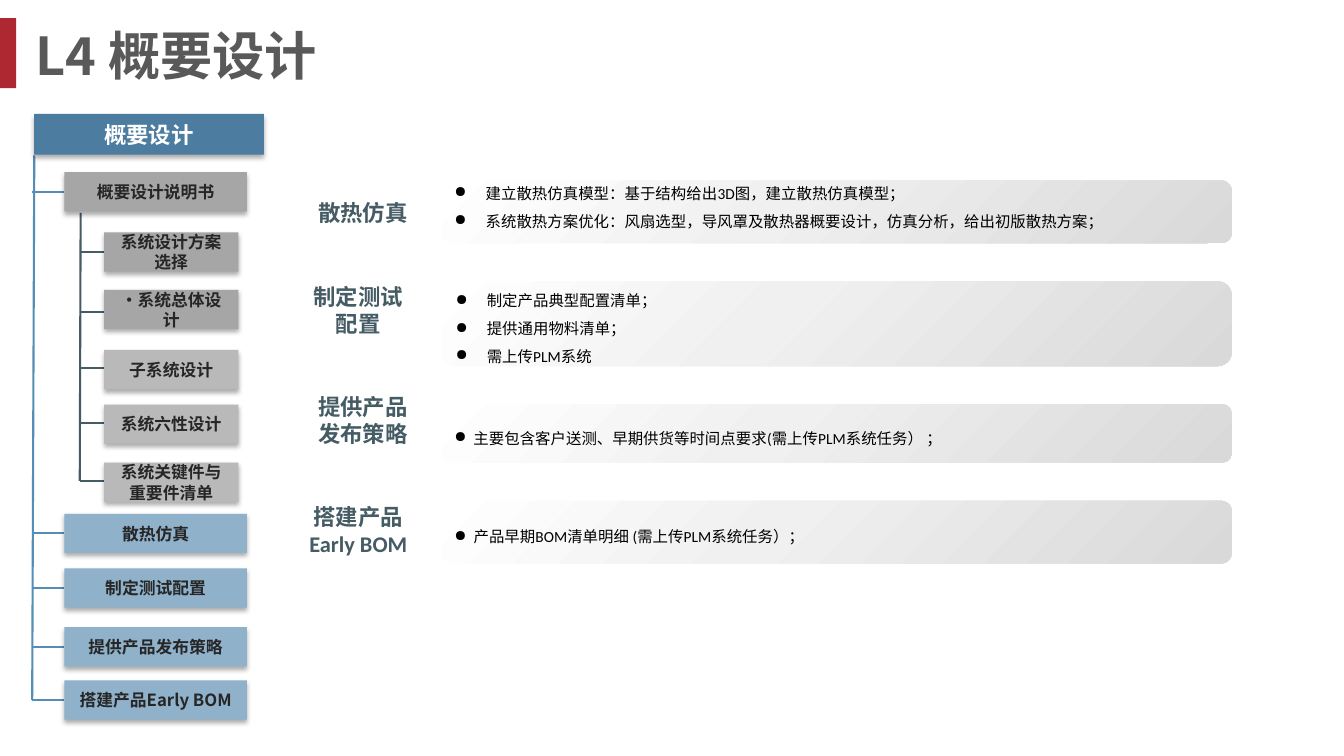
from copy import deepcopy

from lxml.etree import SubElement
from pptx import Presentation
from pptx.dml.color import RGBColor
from pptx.enum.shapes import MSO_CONNECTOR as Connector, MSO_SHAPE as Preset
from pptx.enum.text import MSO_ANCHOR as Anchor, MSO_AUTO_SIZE as AutoSize, PP_ALIGN as Align
from pptx.oxml.ns import qn
from pptx.util import Pt

CJK, LATIN = "Noto Sans CJK SC", "Calibri"
COLORS = {
    "red": "AD2830", "title": "595959", "header": "4C7CA0", "white": "FFFFFF",
    "blue": "90B1CA", "blue_line": "548DB5", "slate": "465C65", "ink": "262626",
    "dark_gray": "A6A6A6", "light_gray": "B9B9B9", "black": "000000",
    "fade_mid": "F0F0F0", "fade_end": "D9D9D9",
}
TITLE_FONT = {"size": Pt(37.3), "bold": True, "name": CJK}
HEADER_FONT = {"size": Pt(16), "bold": True, "name": CJK}
NODE_FONT = {"size": Pt(12), "bold": True, "name": CJK}
LABEL_FONT = {"size": Pt(16), "bold": True, "name": LATIN}
LIST_FONT = {"size": Pt(11), "bold": False, "name": LATIN}

# Tree stages: text, top, fill
STAGES = [
    ("概要设计说明书", 123, "dark_gray"),
    ("散热仿真", 367, "blue"),
    ("制定测试配置", 406, "blue"),
    ("提供产品发布策略", 448, "blue"),
    ("搭建产品Early BOM", 486, "blue"),
]
# Tree details: text, top, height of the branch line, fill
DETAILS = [
    ("系统设计方案选择", 166, 180, "dark_gray"),
    ("·系统总体设计", 207, 223, "dark_gray"),
    ("子系统设计", 250, 263, "light_gray"),
    ("系统六性设计", 289, 302, "light_gray"),
    ("系统关键件与重要件清单", 330.5, 343.5, "light_gray"),
]
# Label (text, top, width, height), panel (top, height), indent, bottom inset, items
SECTIONS = [
    (("散热仿真", 139, 93.6, 26.6), (129, 44.6), 22.3, 17, [
        "建立散热仿真模型：基于结构给出3D图，建立散热仿真模型；",
        "系统散热方案优化：风扇选型，导风罩及散热器概要设计，仿真分析，给出初版散热方案；"]),
    (("制定测试配置", 198.7, 87, 46), (201, 60.5), 22.3, 3.6, [
        "制定产品典型配置清单；", "提供通用物料清单；", "需上传PLM系统"]),
    (("提供产品发布策略", 277.2, 93.6, 46), (288.7, 41.8), 13.7, 3.6, [
        "主要包含客户送测、早期供货等时间点要求(需上传PLM系统任务） ；"]),
    (("搭建产品Early BOM", 355.7, 87, 46), (357.8, 44.6), 13.7, 3.6, [
        "产品早期BOM清单明细 (需上传PLM系统任务）；"]),
]


def rgb(color):
    return RGBColor.from_string(COLORS[color])


def write(para, text, font_format, color, align=Align.CENTER):
    para.alignment = align
    span = para.add_run()
    span.text = text
    for key, value in font_format.items():
        setattr(span.font, key, value)
    span.font.color.rgb = rgb(color)
    SubElement(span.font._element, qn("a:ea"), typeface=CJK)


def add_block(page, preset, left, top, width, height, fill=None):
    block = page.shapes.add_shape(preset, Pt(left), Pt(top), Pt(width), Pt(height))
    block.shadow.inherit = False
    block.line.fill.background()
    if fill:
        block.fill.solid()
        block.fill.fore_color.rgb = rgb(fill)
    frame = block.text_frame
    frame.word_wrap = True
    frame.vertical_anchor = Anchor.MIDDLE
    return block


def add_node(page, text, left, top, width, height, fill, font_format=NODE_FONT, color="ink"):
    node = add_block(page, Preset.RECTANGLE, left, top, width, height, fill)
    effects = node._element.spPr.find(qn("a:effectLst"))
    shadow = SubElement(effects, qn("a:outerShdw"), blurRad=str(Pt(3.5)), dist=str(Pt(2.2)),
                        dir="5400000", algn="t", rotWithShape="0")
    tone = SubElement(shadow, qn("a:srgbClr"), val=COLORS["black"])
    SubElement(tone, qn("a:alpha"), val="32000")
    write(node.text_frame.paragraphs[0], text, font_format, color)


def add_line(page, start, end, color):
    line = page.shapes.add_connector(Connector.STRAIGHT, *(Pt(v) for v in (*start, *end)))
    line.line.width = Pt(1.5)
    line.line.color.rgb = rgb(color)
    SubElement(line._element.spPr, qn("a:effectLst"))


def add_label(page, text, top, width, height):
    box = page.shapes.add_textbox(Pt(212.4), Pt(top), Pt(width), Pt(height))
    box.text_frame.word_wrap = True
    box.text_frame.auto_size = AutoSize.SHAPE_TO_FIT_TEXT
    write(box.text_frame.paragraphs[0], text, LABEL_FONT, "slate")


def fade(block):
    block.fill.gradient()
    block.fill.gradient_angle = 315
    stop_list = block._element.spPr.find(qn("a:gradFill")).find(qn("a:gsLst"))
    stop_list.append(deepcopy(stop_list[-1]))
    stops = [(0, "white"), (0.42, "fade_mid"), (1, "fade_end")]
    for stop, (position, color) in zip(block.fill.gradient_stops, stops):
        stop.position = position
        stop.color.rgb = rgb(color)


def add_panel(page, top, height, indent, bottom, items):
    panel = add_block(page, Preset.ROUNDED_RECTANGLE, 315.4, top, 564.5, height)
    fade(panel)
    frame = panel.text_frame
    frame.margin_bottom = Pt(bottom)
    for index, item in enumerate(items):
        para = frame.add_paragraph() if index else frame.paragraphs[0]
        props = para._p.get_or_add_pPr()
        props.set("marL", str(Pt(indent)))
        props.set("indent", str(-Pt(indent)))
        SubElement(props, qn("a:buChar"), char="●")
        para.line_spacing = 1.5
        write(para, item, LIST_FONT, "black", Align.LEFT)


def add_title(page, text):
    add_block(page, Preset.RECTANGLE, 0, 13, 11.5, 50, "red")
    title = page.shapes.title
    place = {"left": 18, "top": 13, "width": 778, "height": 52.6}
    for key, value in place.items():
        setattr(title, key, Pt(value))
    frame = title.text_frame
    frame.auto_size = AutoSize.NONE
    frame.vertical_anchor = Anchor.MIDDLE
    write(frame.paragraphs[0], text, TITLE_FONT, "title", Align.LEFT)


def add_tree(page):
    # Trunks
    add_line(page, (24.5, 111), (23, 500), "blue_line")
    add_line(page, (57.6, 152), (57, 343.5), "slate")
    # Branches and nodes
    for text, top, fill in STAGES:
        add_line(page, (46, top + 14), (23, top + 14), "blue_line")
        add_node(page, text, 46, top, 130.3, 28, fill)
    for text, top, branch, fill in DETAILS:
        add_line(page, (74.3, branch), (57.5, branch), "slate")
        add_node(page, text, 74.3, top, 96, 28, fill)
    # Root
    add_node(page, "概要设计", 24.5, 81.4, 164, 29, "header", HEADER_FONT, "white")


def main():
    deck = Presentation()
    deck.slide_width, deck.slide_height = Pt(960), Pt(540)
    page = deck.slides.add_slide(deck.slide_layouts.get_by_name("Title Only"))
    add_title(page, "L4 概要设计")
    add_tree(page)
    # Labels with their detail panels
    for label, panel, indent, bottom, items in SECTIONS:
        add_panel(page, *panel, indent, bottom, items)
        add_label(page, *label)
    deck.save("out.pptx")


if __name__ == "__main__":
    main()
